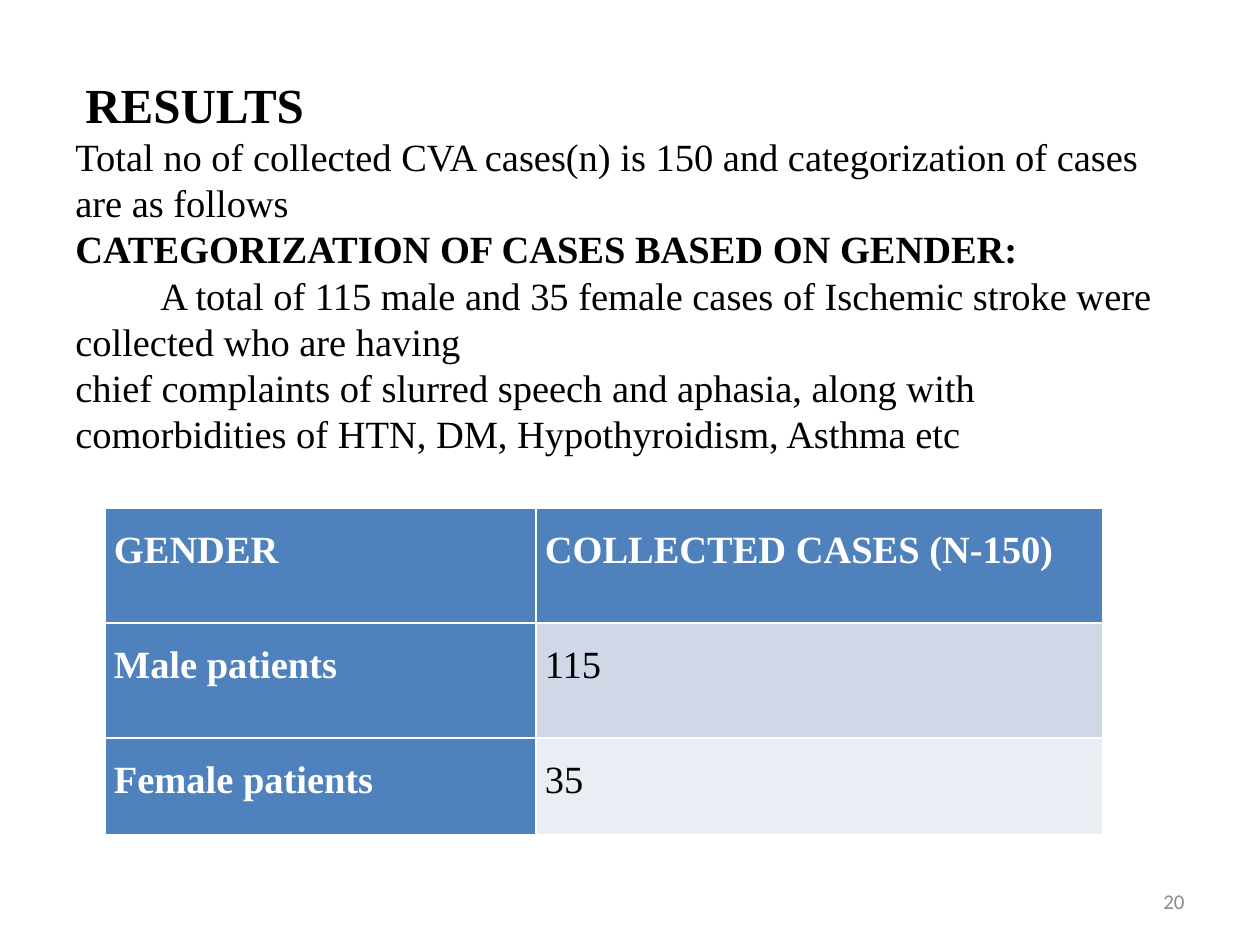
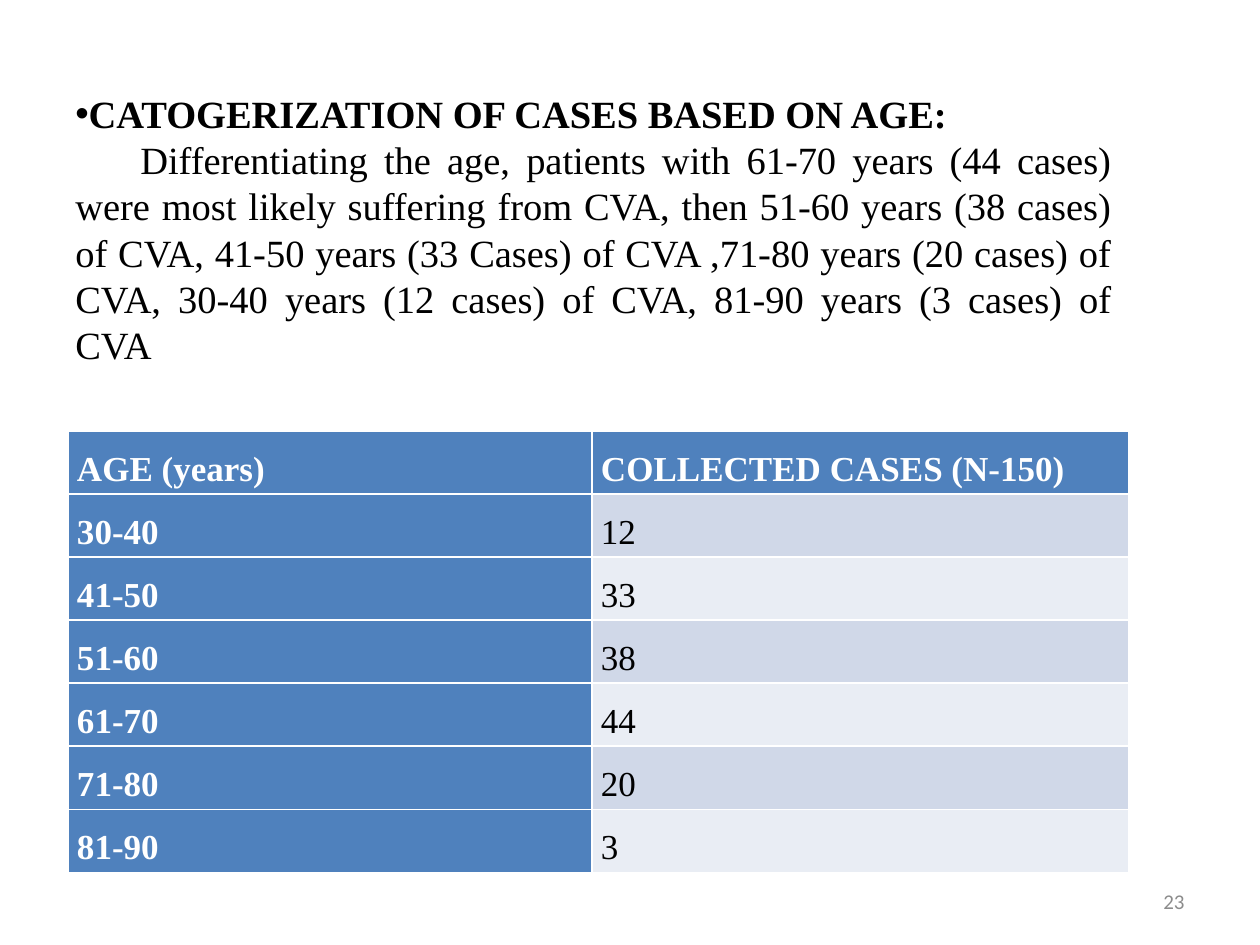
from lxml import etree
from pptx import Presentation
from pptx.dml.color import RGBColor
from pptx.enum.text import MSO_ANCHOR, PP_ALIGN
from pptx.oxml.ns import qn
from pptx.util import Pt

TOP, MIDDLE = MSO_ANCHOR.TOP, MSO_ANCHOR.MIDDLE
LEFT, RIGHT, JUSTIFY = PP_ALIGN.LEFT, PP_ALIGN.RIGHT, PP_ALIGN.JUSTIFY
PX = 914400 / 126
SERIF, SANS = "Times New Roman", "Calibri"
COLORS = {"head": "4F81BD", "odd": "D0D8E8", "even": "E9EDF4",
          "white": "FFFFFF", "black": "000000", "gray": "8C8C8C"}


def px(*values):
    return [round(v * PX) for v in values]


def write(tf, text, first=False, size=22, font=SERIF, color="black", bold=False,
          align=LEFT, indent=0, bullet=None, spacing=None):
    p = tf.paragraphs[0] if first else tf.add_paragraph()
    p.alignment = align
    if spacing:
        p.line_spacing = spacing
    pPr = p._p.get_or_add_pPr()
    pPr.set("marL", "0")
    pPr.set("indent", str(px(indent)[0]))
    if bullet:
        etree.SubElement(pPr, qn("a:buFont")).set("typeface", "Arial")
        etree.SubElement(pPr, qn("a:buChar")).set("char", bullet)
    r = p.add_run()
    r.text = text
    r.font.size = Pt(size)
    r.font.name = font
    r.font.bold = bold
    r.font.color.rgb = RGBColor.from_string(COLORS[color])


slides = [
    {
        "number": "20",
        "box": (63, 68, 1134, 445),
        "text": [
            ("RESULTS", {"size": 28, "bold": True, "indent": 10}),
            ("Total no of collected CVA cases(n) is 150 and categorization of cases "
             "are as follows", {}),
            ("CATEGORIZATION OF CASES BASED ON GENDER:", {"bold": True}),
            ("A total of 115 male and 35 female cases of Ischemic stroke were "
             "collected who are having", {"indent": 85}),
            ("chief complaints of slurred speech and aphasia, along with "
             "comorbidities of HTN, DM, Hypothyroidism, Asthma etc", {}),
        ],
        "table": (105, 508), "cols": (431, 567), "rows": (115, 115, 97), "size": 22,
        "cells": [("GENDER", "COLLECTED CASES (N-150)"),
                  ("Male patients", "115"), ("Female patients", "35")],
    },
    {
        "number": "23",
        "box": (63, 84, 1061, 292),
        "text": [
            ("CATOGERIZATION OF CASES BASED ON AGE:",
             {"bold": True, "bullet": "•", "align": JUSTIFY}),
            ("Differentiating the age, patients with 61-70 years (44 cases) were most "
             "likely suffering from CVA, then 51-60 years (38 cases) of CVA, 41-50 years "
             "(33 Cases) of CVA ,71-80 years (20 cases) of CVA, 30-40 years (12 cases) "
             "of CVA, 81-90 years (3 cases) of CVA", {"indent": 65, "align": JUSTIFY}),
        ],
        "table": (68, 431), "cols": (524, 537), "rows": (55,) * 6 + (53,), "size": 20,
        "cells": [("AGE (years)", "COLLECTED CASES (N-150)"),
                  ("30-40", "12"), ("41-50", "33"), ("51-60", "38"),
                  ("61-70", "44"), ("71-80", "20"), ("81-90", "3")],
    },
]

prs = Presentation()
prs.slide_width, prs.slide_height = px(1260, 945)

for data in slides:
    s = prs.slides.add_slide(prs.slide_layouts[6])

    cols, rows = data["cols"], data["rows"]
    table = s.shapes.add_table(len(rows), len(cols),
                               *px(*data["table"], sum(cols), sum(rows))).table
    table.first_col = True
    for col, width in zip(table.columns, px(*cols)):
        col.width = width
    for row, height in zip(table.rows, px(*rows)):
        row.height = height
    for i, texts in enumerate(data["cells"]):
        for j, text in enumerate(texts):
            header = i == 0 or j == 0
            fill = "head" if header else "odd" if i % 2 else "even"
            cell = table.cell(i, j)
            cell.fill.solid()
            cell.fill.fore_color.rgb = RGBColor.from_string(COLORS[fill])
            cell.margin_left = cell.margin_right = px(9)[0]
            cell.margin_top = cell.margin_bottom = 0
            write(cell.text_frame, text, first=True, size=data["size"], bold=header,
                  color="white" if header else "black", spacing=1.5)

    number = [(data["number"], {"size": 12, "font": SANS, "color": "gray", "align": RIGHT})]
    for box, anchor, paragraphs in ((data["box"], TOP, data["text"]),
                                    ((903, 876, 294, 50), MIDDLE, number)):
        tf = s.shapes.add_textbox(*px(*box)).text_frame
        tf.word_wrap = True
        tf.vertical_anchor = anchor
        for k, (text, style) in enumerate(paragraphs):
            write(tf, text, first=k == 0, **style)

prs.save("out.pptx")
